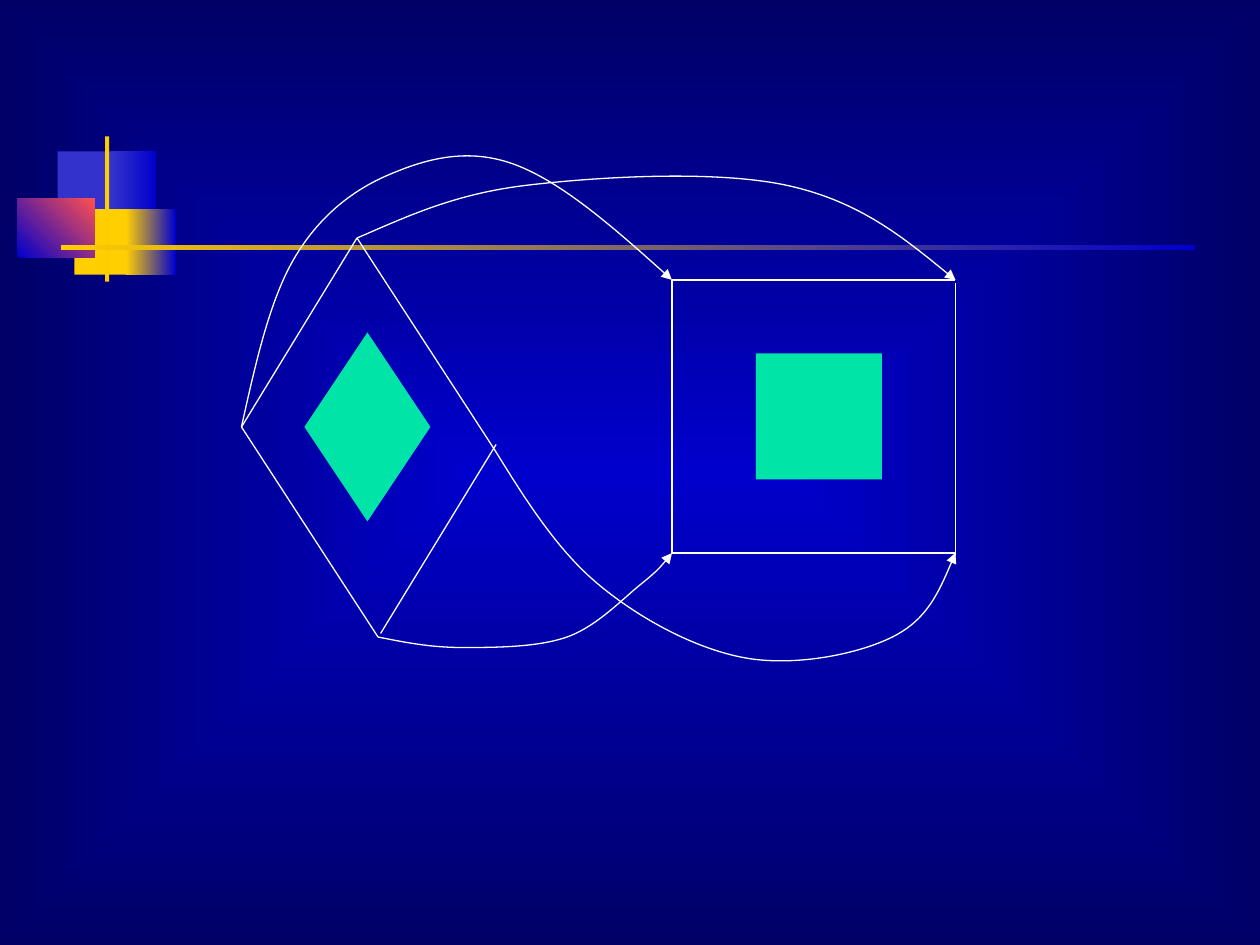
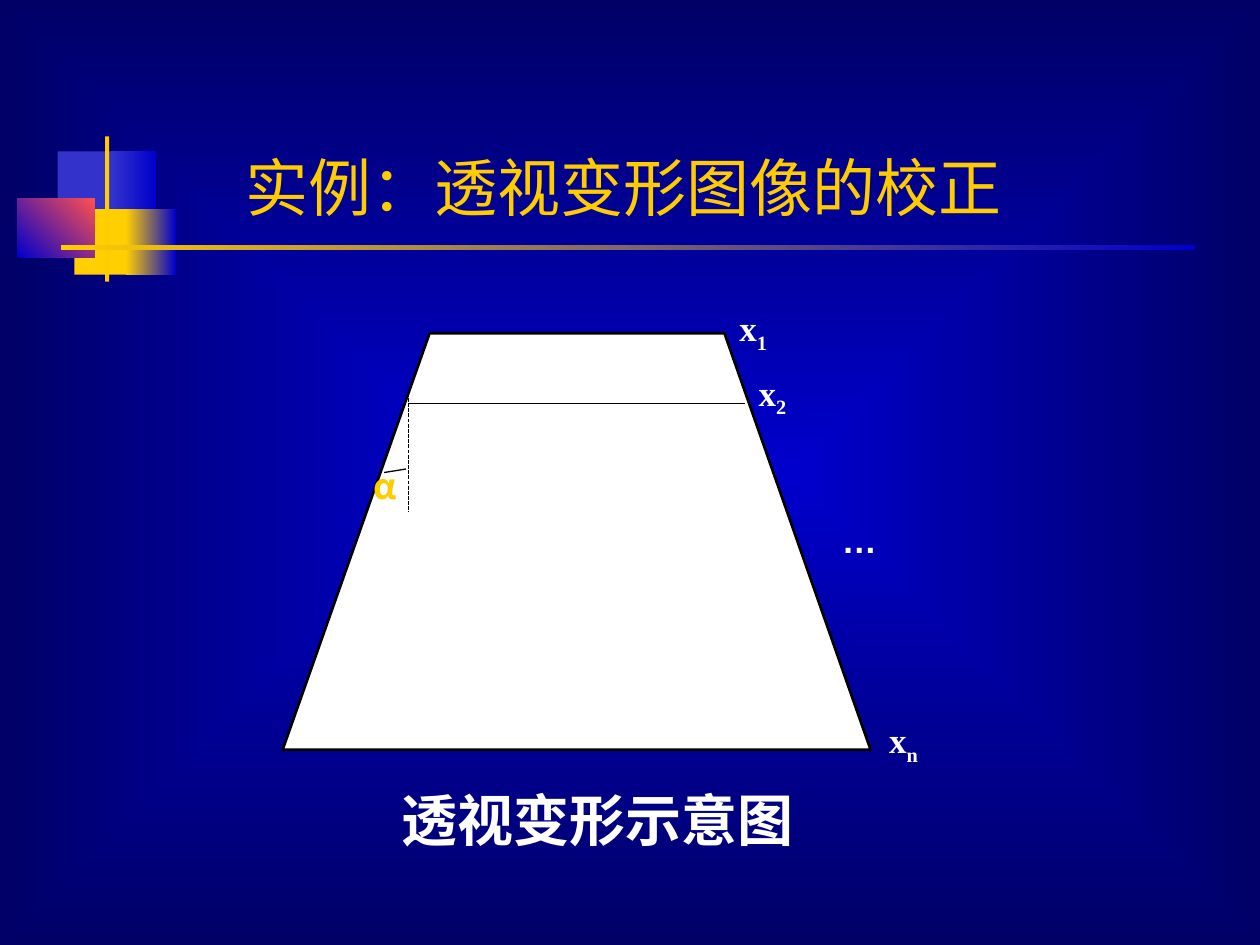
from lxml.etree import SubElement
from pptx import Presentation
from pptx.dml.color import RGBColor
from pptx.enum.dml import MSO_LINE
from pptx.enum.shapes import MSO_CONNECTOR, MSO_SHAPE
from pptx.enum.text import MSO_ANCHOR, PP_ALIGN
from pptx.oxml.ns import qn
from pptx.util import Pt

# Shared look
WHITE, BLACK, GOLD, YELLOW = "FFFFFF", "000000", "FFCC00", "FFCF01"
BLUE, NAVY, INDIGO, RED, GREEN = "0000CC", "000066", "3333CC", "FF5050", "00E4A8"
CJK, SERIF = "Noto Sans CJK SC", "Times New Roman"

# Left, top, width, height, colours, gradient angle
DECORATION = [
    (33, 86.5, 34.5, 37.5, [INDIGO], 0),
    (63.4, 86.5, 26, 37.5, [INDIGO, BLUE], 0),
    (42.5, 119.5, 33, 37.5, [YELLOW], 0),
    (72, 119.5, 28.5, 37.5, [YELLOW, BLUE], 0),
    (10, 113.5, 44, 33.5, [BLUE, RED], 45),
    (60, 78, 2.4, 83, [GOLD], 0),
    (34.8, 140, 648, 2.8, [GOLD, BLUE], 0),
]


def rgb(color):
    return RGBColor.from_string(color)


def set_fill(fill, colors, angle=0):
    """One colour gives a solid fill, two give a linear gradient."""
    if len(colors) == 1:
        fill.solid()
        fill.fore_color.rgb = rgb(colors[0])
        return
    fill.gradient()
    fill.gradient_angle = angle
    for stop, color, position in zip(fill.gradient_stops, colors, (0, 1)):
        stop.color.rgb = rgb(color)
        stop.position = position


def set_line(shape, color, width):
    shape.line.color.rgb = rgb(color)
    shape.line.width = Pt(width)


def add_block(s, x, y, w, h, colors, angle=0, kind=MSO_SHAPE.RECTANGLE):
    sp = s.shapes.add_shape(kind, Pt(x), Pt(y), Pt(w), Pt(h))
    sp.shadow.inherit = False
    sp.line.fill.background()
    set_fill(sp.fill, colors, angle)


def add_line(s, start, end, color, dash=None):
    ends = [Pt(v) for v in (*start, *end)]
    line = s.shapes.add_connector(MSO_CONNECTOR.STRAIGHT, *ends)
    set_line(line, color, 0.75)
    if dash:
        line.line.dash_style = dash
    SubElement(line.element.spPr, qn("a:effectLst"))


def add_outline(s, points, color, width, fill=None):
    """Straight-sided outline, closed when it is filled."""
    (x, y), *rest = [(Pt(px), Pt(py)) for px, py in points]
    builder = s.shapes.build_freeform(x, y)
    builder.add_line_segments(rest, close=fill is not None)
    sp = builder.convert_to_shape()
    sp.shadow.inherit = False
    if fill:
        set_fill(sp.fill, [fill])
    else:
        sp.fill.background()
    set_line(sp, color, width)
    return sp


def add_curve(s, points, color, arrow=False):
    """Bezier curve: a start, then two control points and an end per piece."""
    sp = add_outline(s, points, color, 0.75)
    outline = next(sp.element.iter(qn("a:path")))
    segments = outline.findall(qn("a:lnTo"))
    for i in range(0, len(segments), 3):
        bezier = SubElement(outline, qn("a:cubicBezTo"))
        for segment in segments[i:i + 3]:
            bezier.append(segment[0])
            outline.remove(segment)
    if arrow:
        SubElement(sp.element.spPr.find(qn("a:ln")), qn("a:tailEnd"), type="triangle")


def add_text(s, x, y, w, h, text, size, color, font, bold=True, sub="",
             align=PP_ALIGN.LEFT, anchor=MSO_ANCHOR.TOP):
    tf = s.shapes.add_textbox(Pt(x), Pt(y), Pt(w), Pt(h)).text_frame
    tf.word_wrap = True
    tf.vertical_anchor = anchor
    p = tf.paragraphs[0]
    p.text = text
    p.alignment = align
    if sub:
        r = p.add_run()
        r.text = sub
        r.font._element.set("baseline", "-25000")
    for r in p.runs:
        r.font.size, r.font.bold, r.font.name = Pt(size), bold, font
        r.font.color.rgb = rgb(color)
        SubElement(r.font._element, qn("a:ea"), typeface=CJK)


def add_label(s, x, y, text, color=WHITE, font=SERIF, sub=""):
    add_text(s, x, y, 72, 51, text, 20, color, font, sub=sub)


def add_base_slide(prs):
    s = prs.slides.add_slide(prs.slide_layouts[6])
    fill = s.background.fill
    set_fill(fill, [BLUE, NAVY])
    # Turn the linear background gradient into a rectangular one
    grad = next(s.element.iter(qn("a:gradFill")))
    grad.remove(grad.find(qn("a:lin")))
    rect = SubElement(grad, qn("a:path"), path="rect")
    SubElement(rect, qn("a:fillToRect"), l="50000", t="50000", r="50000", b="50000")
    for block in DECORATION:
        add_block(s, *block)
    return s


def build_mapping(prs):
    s = add_base_slide(prs)
    top, left, right, bottom = (204, 136), (138, 244), (282, 256), (216, 364)
    top_left, top_right = (384, 160), (546, 160)
    bottom_left, bottom_right = (384, 316), (546, 316)

    # Distorted quadrilateral and target rectangle
    add_block(s, 174, 190, 72, 108, [GREEN], kind=MSO_SHAPE.DIAMOND)
    add_block(s, 432, 202, 72, 72, [GREEN])
    for start, end in [
        (top, left), ((283.5, 254), (217.5, 362)), (top, right), (left, bottom),
        (top_left, bottom_left), ((546, 161.5), (546, 317.5)),
        (top_left, top_right), (bottom_left, bottom_right),
    ]:
        add_line(s, start, end, WHITE)

    # Arrows from each corner to its match
    for points in [
        [top, (232, 124), (259, 111), (300, 106), (341, 101), (409, 97),
         (450, 106), (491, 115), (518.5, 137.5), top_right],
        [left, (146, 208), (154, 172), (168, 148), (182, 124), (201, 109),
         (222, 100), (243, 91), (267, 84), (294, 94), (321, 104), (353, 132), top_left],
        [right, (300, 285), (318, 314), (342, 334), (366, 354), (398, 371),
         (426, 376), (454, 381), (490, 374), (510, 364), (530, 354), (538, 335),
         bottom_right],
        [bottom, (231, 367), (246, 370), (264, 370), (282, 370), (307, 370),
         (324, 364), (341, 358), (356, 342), (366, 334), (376, 326), (380, 321),
         bottom_left],
    ]:
        add_curve(s, points, WHITE, arrow=True)


def build_perspective(prs):
    s = add_base_slide(prs)
    add_text(s, 133, 71, 468, 60.5, "实例：透视变形图像的校正", 36, GOLD, "Cabin",
             bold=False, anchor=MSO_ANCHOR.BOTTOM)

    # Trapezoid with one scan line and its row labels
    add_outline(s, [(497.5, 428.5), (414, 190.5), (245.5, 190.5), (161.5, 428.5)],
                BLACK, 1.5, fill=WHITE)
    add_line(s, (233.5, 230.5), (425.5, 230.5), BLACK)
    for x, y, row in [(415.5, 171.5, "1"), (426.5, 208.5, "2"), (501, 407, "n")]:
        add_label(s, x, y, "x", sub=row)
    add_label(s, 474, 292.5, "…", font="Arial")

    # Angle of the slanted side
    add_line(s, (233.5, 224.5), (233.5, 292.5), BLACK, MSO_LINE.SQUARE_DOT)
    add_curve(s, [(219.5, 270), (223, 269.5), (232, 268), (232, 268)], BLACK)
    add_label(s, 206.5, 262, "α", GOLD, CJK)

    add_text(s, 161.5, 445.5, 360, 51, "透视变形示意图", 32, WHITE, CJK,
             align=PP_ALIGN.CENTER)


def main():
    prs = Presentation()
    prs.slide_width, prs.slide_height = Pt(720), Pt(540)
    build_mapping(prs)
    build_perspective(prs)
    prs.save("out.pptx")


if __name__ == "__main__":
    main()
